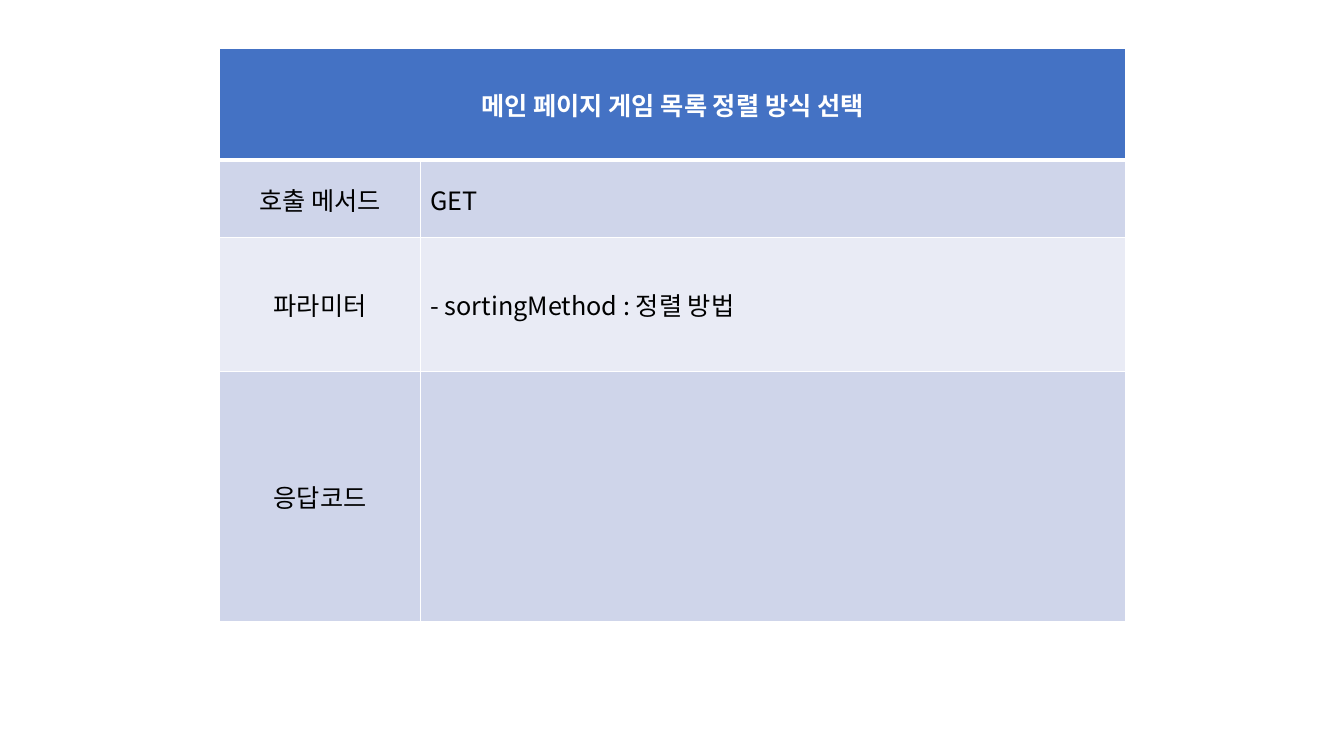
from lxml import etree
from pptx import Presentation
from pptx import util as u
from pptx.dml import color
from pptx.enum import text
from pptx.oxml import ns

FONT = "Noto Sans CJK KR"
HEADER, DARK, LIGHT, WHITE, BLACK = "4472C4", "CFD5EA", "E9EBF5", "FFFFFF", "000000"
COLUMN_WIDTHS = (1.99, 6.99)
ROW_HEIGHTS = (1.11, 0.77, 1.33, 2.48)
TITLE = "메인 페이지 게임 목록 정렬 방식 선택"
ROWS = (
    ("호출 메서드", "GET"),
    ("파라미터", "- sortingMethod : 정렬 방법"),
    ("응답코드", ""),
)


def rgb(value):
    return color.RGBColor.from_string(value)


def sub(parent, tag, **attributes):
    return etree.SubElement(parent, ns.qn(tag), **attributes)


def set_borders(cell, widths):
    """Draw white borders; widths maps each side's tag to points."""
    tc_pr = cell._tc.get_or_add_tcPr()
    for i, (side, width) in enumerate(widths.items()):
        line = etree.Element(ns.qn(f"a:{side}"), w=str(u.Pt(width)))
        sub(sub(line, "a:solidFill"), "a:srgbClr", val=WHITE)
        tc_pr.insert(i, line)


def write_cell(cell, words, centred, font_color, bold=False):
    cell.vertical_anchor = text.MSO_ANCHOR.MIDDLE
    p = cell.text_frame.paragraphs[0]
    p.alignment = text.PP_ALIGN.CENTER if centred else text.PP_ALIGN.LEFT
    r = p.add_run()
    r.text = words
    formats = {"name": FONT, "size": u.Pt(18), "bold": bold}
    for name, value in formats.items():
        setattr(r.font, name, value)
    r.font.color.rgb = rgb(font_color)
    sub(r._r.get_or_add_rPr(), "a:ea", typeface=FONT)


def add_api_table(s):
    table = s.shapes.add_table(
        len(ROW_HEIGHTS), len(COLUMN_WIDTHS), u.Inches(2.18), u.Inches(0.48),
        u.Inches(sum(COLUMN_WIDTHS)), u.Inches(sum(ROW_HEIGHTS))).table
    for column, width in zip(table.columns, COLUMN_WIDTHS):
        column.width = u.Inches(width)
    for i, (row, height) in enumerate(zip(table.rows, ROW_HEIGHTS)):
        row.height = u.Inches(height)
        fill = HEADER if i == 0 else DARK if i % 2 else LIGHT
        for cell in row.cells:
            cell.fill.solid()
            cell.fill.fore_color.rgb = rgb(fill)
            set_borders(cell, {"lnL": 1, "lnR": 1,
                               "lnT": 3 if i == 1 else 1,
                               "lnB": 3 if i == 0 else 1})

    table.cell(0, 0).merge(table.cell(0, 1))
    write_cell(table.cell(0, 0), TITLE, True, WHITE, bold=True)
    for i, row in enumerate(ROWS, start=1):
        for j, words in enumerate(row):
            if words:
                write_cell(table.cell(i, j), words, j == 0, BLACK)


def main():
    prs = Presentation()
    prs.slide_width, prs.slide_height = u.Inches(13.33), u.Inches(7.5)
    s = prs.slides.add_slide(prs.slide_layouts[6])
    add_api_table(s)
    prs.save("out.pptx")


if __name__ == "__main__":
    main()
